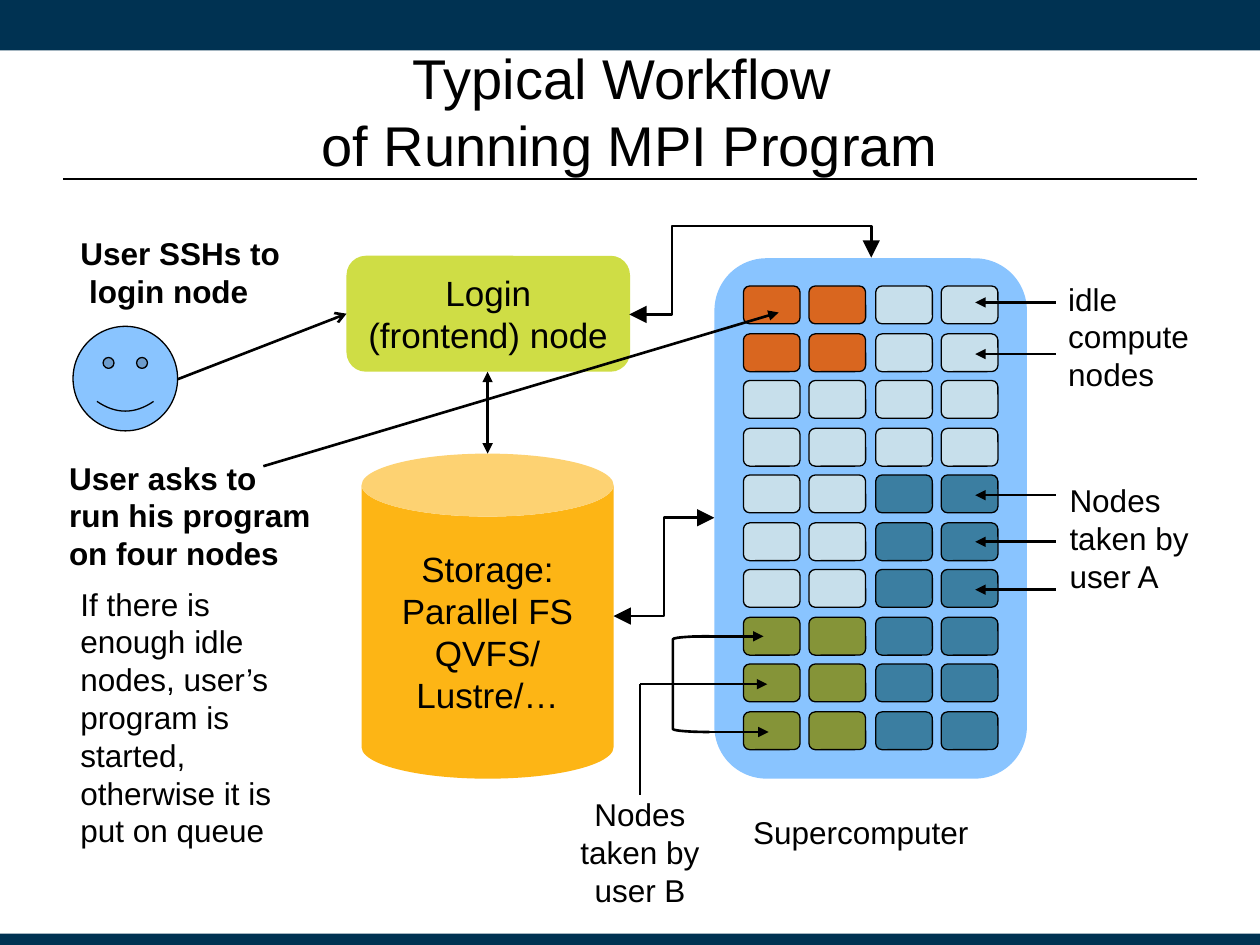
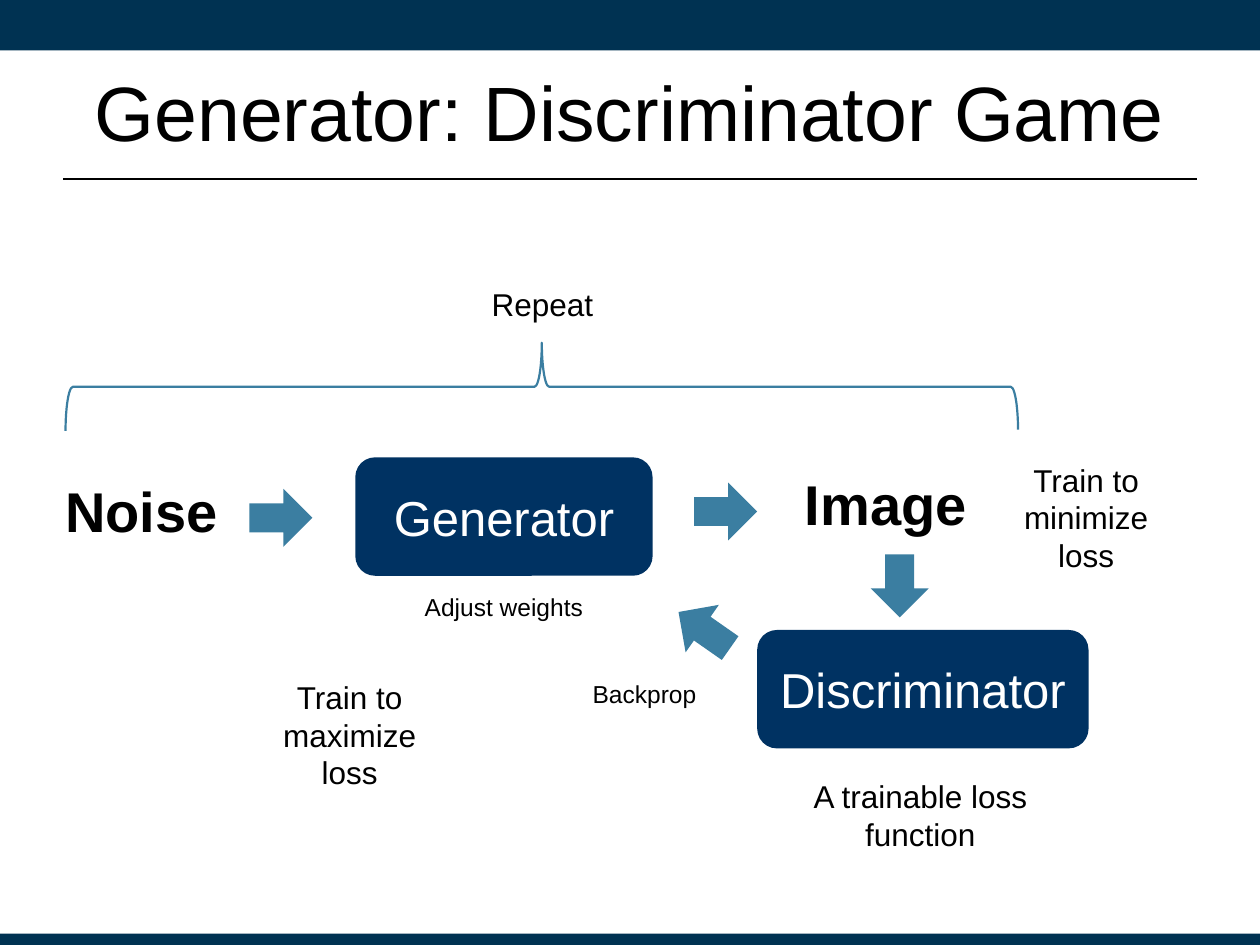
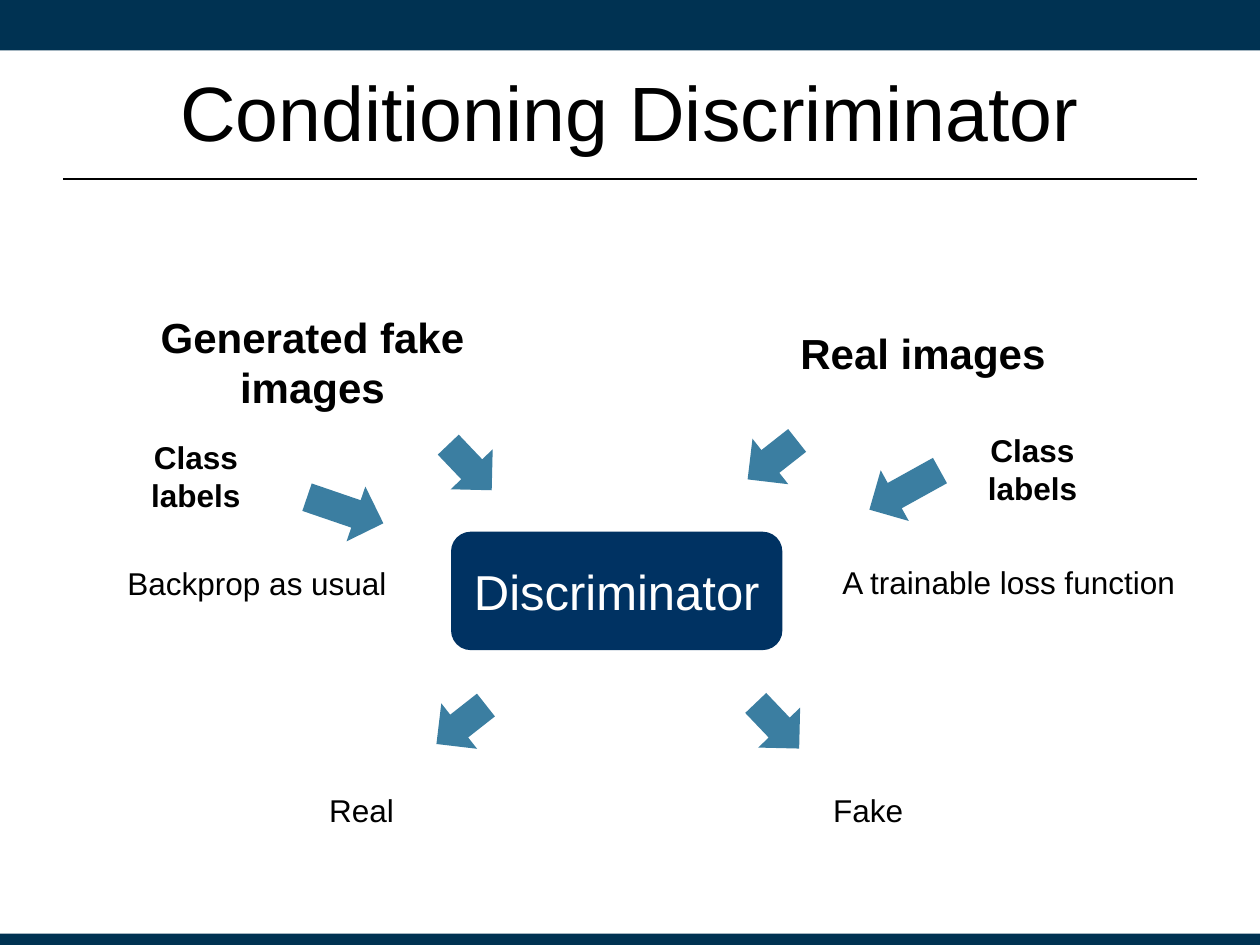
"""Build three lecture slides on cluster jobs and adversarial networks."""
from pptx import Presentation
from pptx.dml.color import RGBColor as RGB
from pptx.enum.shapes import MSO_CONNECTOR as LINK, MSO_SHAPE as KIND
from pptx.enum.text import MSO_ANCHOR as ANCHOR, PP_ALIGN as ALIGN
from pptx.oxml.ns import qn
from pptx.util import Pt
from lxml.etree import SubElement

PX = 9144
FONT = "Arial"
INK = {
    "band": "003252", "navy": "003262", "blue": "3B7EA1", "sky": "89C4FF",
    "pale": "C7DFEB", "rust": "D9661F", "olive": "859438", "lime": "CFDD45",
    "gold": "FDB515", "black": "000000", "white": "FFFFFF",
}
NODES = ["rrpp", "rrpp", "pppp", "pppp", "ppbb",
         "ppbb", "ppbb", "oobb", "oobb", "oobb"]
OWNER = {"r": "rust", "p": "pale", "b": "blue", "o": "olive"}


def write(frame, text, size=18, bold=False, color="black", align=ALIGN.CENTER,
          anchor=ANCHOR.MIDDLE, wrap=True):
    """Fill a text frame, one paragraph per line, in one format."""
    frame.word_wrap = wrap
    frame.vertical_anchor = anchor
    frame.text = text
    for para in frame.paragraphs:
        para.alignment = align
        para.space_before = Pt(0)
        for run in para.runs:
            run.font.name, run.font.size, run.font.bold = FONT, Pt(size), bold
            run.font.color.rgb = RGB.from_string(INK[color])


class Region:
    """A part of a slide whose contents are placed from its top left corner."""

    def __init__(self, slide, x=0, y=0):
        """Keep the slide's shapes and the corner in px."""
        self.shapes, self.x, self.y = slide.shapes, x, y

    def spot(self, x, y):
        """Turn a point of the region into EMU on the slide."""
        return (self.x + x) * PX, (self.y + y) * PX

    def shape(self, kind, x, y, w, h, fill=None, line=None, width=0.75, turn=0):
        """Add a preset shape without shadow."""
        item = self.shapes.add_shape(kind, *self.spot(x, y), w * PX, h * PX)
        item.shadow.inherit = False
        item.rotation = turn
        if fill:
            item.fill.solid()
            item.fill.fore_color.rgb = RGB.from_string(INK[fill])
        else:
            item.fill.background()
        if line:
            item.line.color.rgb = RGB.from_string(INK[line])
            item.line.width = Pt(width)
        else:
            item.line.fill.background()
        return item

    def text(self, text, x, y, w, h, align=ALIGN.LEFT, **style):
        """Add a text box that starts at its top."""
        item = self.shapes.add_textbox(*self.spot(x, y), w * PX, h * PX)
        write(item.text_frame, text, align=align, anchor=ANCHOR.TOP, **style)

    def label(self, text, x, y, w, h, size=18):
        """Add a white panel with centred text."""
        write(self.shape(KIND.RECTANGLE, x, y, w, h, "white").text_frame, text, size)

    def button(self, text, x, y, w):
        """Add a navy rounded box that names a network."""
        item = self.shape(KIND.ROUNDED_RECTANGLE, x, y, w, 94, "navy")
        write(item.text_frame, text, 28, color="white", wrap=False)

    def arrow(self, x, y, turn=0, w=50):
        """Add a blue block arrow."""
        self.shape(KIND.RIGHT_ARROW, x, y, w, 46, "blue", turn=turn)

    def link(self, x1, y1, x2, y2, head=None, tail=None, width=1.5,
             kind=LINK.STRAIGHT, tip="med"):
        """Add a black line with optional arrowheads."""
        item = self.shapes.add_connector(kind, *self.spot(x1, y1), *self.spot(x2, y2))
        item.line.color.rgb = RGB.from_string(INK["black"])
        item.line.width = Pt(width)
        line = item.line._get_or_add_ln()
        for tag, form in (("a:headEnd", head), ("a:tailEnd", tail)):
            if form:
                SubElement(line, qn(tag), type=form, w=tip, len=tip)
        SubElement(item._element.spPr, qn("a:effectLst"))
        return item


def start(deck, title, size=44):
    """Add a slide with the shared bands, rule and title."""
    slide = deck.slides.add_slide(deck.slide_layouts[5])
    page = Region(slide)
    page.shape(KIND.RECTANGLE, 0, 0, 1000, 40, "band")
    page.shape(KIND.RECTANGLE, 0, 741, 1000, 9, "band")
    page.link(50, 142, 950, 142, width=1.25)
    head = slide.shapes.title
    head.left, head.top, head.width, head.height = (n * PX for n in (50, 25, 900, 125))
    write(head.text_frame, title, size)
    return slide


def servers(slide, x, y):
    """Draw the login node and the storage with their links."""
    part = Region(slide, x, y)
    login = part.shape(KIND.ROUNDED_RECTANGLE, 0, 0, 225, 92, "lime")
    write(login.text_frame, "Login (frontend) node", 20)
    store = part.shape(KIND.CAN, 12, 157, 200, 258, "gold")
    write(store.text_frame, "Storage:\nParallel FS\nQVFS/Lustre/…", 20)
    both = {"head": "triangle", "tail": "triangle"}
    part.link(112, 92, 112, 157, **both)
    bent = {"kind": LINK.ELBOW, "tip": "lg", **both}
    part.link(212, 286, 292, 208, **bent)
    bend = part.link(343, 120, 298, -72, **bent)
    bend._element.spPr.xfrm.set("rot", "16200000")
    geom = bend._element.spPr.find(qn("a:prstGeom"))
    geom.set("prst", "bentConnector4")
    for name, value in (("adj1", -56000), ("adj2", 82300)):
        SubElement(geom.find(qn("a:avLst")), qn("a:gd"), name=name, fmla=f"val {value}")


def cluster(slide, x, y):
    """Draw the supercomputer, its nodes and who holds them."""
    part = Region(slide, x, y)
    part.shape(KIND.ROUNDED_RECTANGLE, 0, 0, 248, 413, "sky")
    for row, line in enumerate(NODES):
        for col, mark in enumerate(line):
            part.shape(KIND.ROUNDED_RECTANGLE, 23 + col * 105 // 2,
                       22 + (row * 75 + 1) // 2, 45, 30, OWNER[mark], "black")
    part.text("Supercomputer", 21, 435, 207, 40)
    part.text("idle\ncompute\nnodes", 271, 12, 117, 101)
    part.text("Nodes\ntaken by\nuser A", 272, 172, 116, 101)
    part.text("Nodes\ntaken by\nuser B", -117, 421, 116, 101, align=ALIGN.CENTER)
    for level in (35, 76, 188, 225, 263):
        part.link(271, level, 207, level, tail="triangle")
    for tip, end, level in ((39, -18, 300), (42, -33, 338), (43, -18, 376)):
        part.link(tip, level, end, level, head="triangle")
    part.shape(KIND.LEFT_BRACKET, -33, 300, 29, 76, line="black", width=1.5)
    part.link(-33, 338, -59, 338)
    part.link(-59, 338, -59, 426)


def user(slide, x, y):
    """Draw the user with the steps taken."""
    part = Region(slide, x, y)
    part.text("User SSHs to\n login node", 9, 0, 192, 71, bold=True)
    part.shape(KIND.SMILEY_FACE, 13, 78, 83, 83, "sky", "black")
    part.text("User asks to\nrun his program\non four nodes", 0, 178, 214, 101,
              bold=True, wrap=False)
    part.text("If there is enough idle\nnodes, user’s program is started, "
              "otherwise it is put on queue", 9, 278, 200, 222)
    part.link(96, 120, 230, 68, tail="arrow")
    part.link(164, 189, 573, 67, tail="triangle")


def game(slide, x, y):
    """Draw the loop between generator and discriminator."""
    part = Region(slide, x, y)
    part.label("A trainable loss function", 555, 399, 267, 57)
    part.button("Discriminator", 559, 281, 263)
    part.arrow(647, 223, 90)
    part.arrow(492, 258, 215)
    part.label("Backprop", 385, 308, 169, 47, 14)
    part.label("Repeat", 317, 0, 143, 45)
    part.shape(KIND.LEFT_BRACE, 353, -290, 70, 756, line="blue", width=1.25, turn=90)
    part.button("Generator", 240, 144, 236)
    part.arrow(156, 169)
    part.text("Noise", 0, 154, 157, 75, size=32, bold=True)
    part.arrow(509, 164)
    part.text("Image", 587, 149, 164, 75, size=32, bold=True)
    part.label("Train to minimize loss", 759, 122, 122, 139)
    part.label("Train to maximize loss", 151, 317, 169, 94)
    part.label("Adjust weights", 240, 239, 236, 47, 14)


def judge(slide, x, y):
    """Draw what enters and leaves the discriminator."""
    part = Region(slide, x, y)
    for text, left, top, w, h in (("Generated fake images", 21, 0, 354, 117),
                                  ("Real images", 533, 13, 299, 67)):
        part.text(text, left, top, w, h, ALIGN.CENTER, size=24, bold=True)
    for left, top in ((27, 101), (691, 95)):
        part.text("Class labels", left, top, 157, 75, ALIGN.CENTER, bold=True)
    part.label("A trainable loss function", 601, 186, 299, 67)
    part.label("Backprop as usual", 0, 187, 308, 67)
    part.button("Discriminator", 308, 180, 263)
    part.label("Real", 165, 367, 144, 67)
    part.label("Fake", 567, 367, 144, 67)
    for left, top, turn, w in ((298, 106, 46.4, 50), (538, 100, 141.8, 50),
                               (542, 311, 46.4, 50), (291, 310, 141.8, 50),
                               (192, 140, 18.9, 64), (636, 124, 151, 64)):
        part.arrow(left, top, turn, w)


def main():
    """Build and save the deck."""
    deck = Presentation()
    deck.slide_width, deck.slide_height = 1000 * PX, 750 * PX
    flow = start(deck, "Typical Workflow \vof Running MPI Program", 32)
    servers(flow, 275, 203)
    cluster(flow, 567, 205)
    user(flow, 45, 181)
    game(start(deck, "Generator: Discriminator Game"), 42, 219)
    judge(start(deck, "Conditioning Discriminator"), 50, 242)
    deck.save("out.pptx")


if __name__ == "__main__":
    main()
